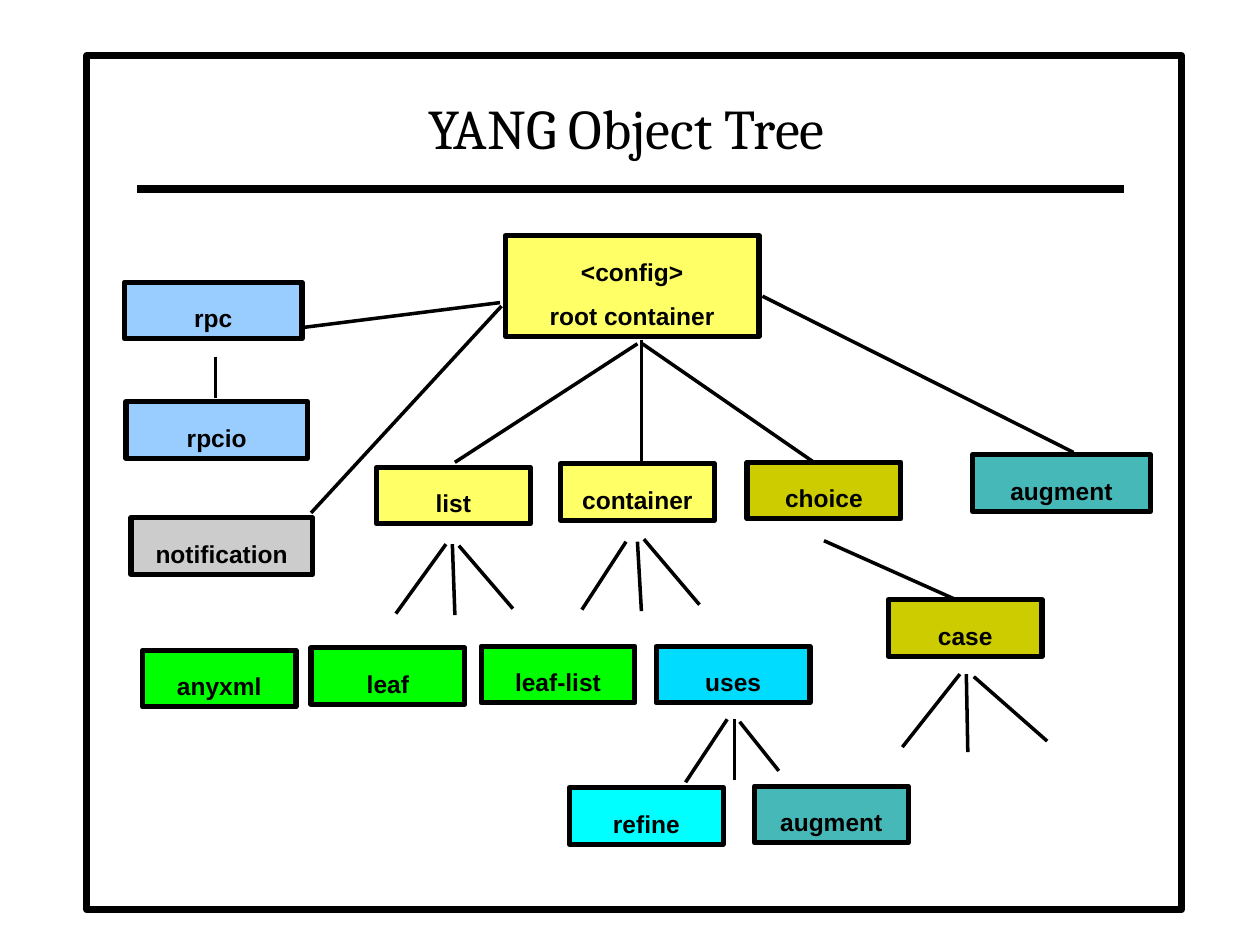
from lxml import etree
from pptx import Presentation
from pptx.dml.color import RGBColor
from pptx.enum.shapes import MSO_CONNECTOR as Connector, MSO_SHAPE as Preset
from pptx.enum.text import MSO_ANCHOR as Anchor, PP_ALIGN as Align
from pptx.oxml.ns import qn
from pptx.util import Cm, Pt

COLORS = {
    "black": "000000", "white": "FFFFFF", "yellow": "FFFF66", "olive": "CCCC00",
    "green": "00FF00", "blue": "99CCFF", "gray": "CCCCCC", "teal": "47B8B8",
    "sky": "00DCFF", "cyan": "00FFFF",
}
BLACK = RGBColor.from_string(COLORS["black"])
FRAME_FORMAT = {"word_wrap": True, "margin_left": Cm(0.25), "margin_right": Cm(0.25),
                "margin_top": Cm(0.13), "margin_bottom": Cm(0.13)}
TITLE_FONT = {"name": "Cambria", "size": Pt(32), "bold": False}
LABEL_FONT = {"name": "Arial", "size": Pt(14), "bold": True}
LABEL_PARAGRAPH = {"line_spacing": 1.5, "space_before": Pt(8.7)}


def write_text(shape, text, anchor, font_format, paragraph_format):
    frame = shape.text_frame
    frame.text = text
    paragraph = frame.paragraphs[0]
    font = paragraph.runs[0].font
    for target, values in (
        (frame, {**FRAME_FORMAT, "vertical_anchor": anchor}),
        (paragraph, {**paragraph_format, "alignment": Align.CENTER}),
    ):
        for name, value in values.items():
            setattr(target, name, value)
    for run in paragraph.runs:
        for name, value in font_format.items():
            setattr(run.font, name, value)
        run.font.color.rgb = BLACK


presentation = Presentation()
presentation.slide_width, presentation.slide_height = Cm(25.4), Cm(19.05)
slide = presentation.slides.add_slide(presentation.slide_layouts[6])

WIDTH, WIDE, WIDEST, HEIGHT = 3.1, 3.58, 3.66, 1.14
boxes = [
    ("", "white", 1.75, 1.12, 22.07, 17.22, 4),
    ("<config>\vroot container", "yellow", 10.19, 4.75, 5.11, 2.03, 3),
]
nodes = [
    ("list", "yellow", 7.59, 9.42, WIDTH),
    ("choice", "olive", 15.06, 9.32, WIDTH),
    ("container", "yellow", 11.3, 9.35, WIDTH),
    ("leaf", "green", 6.27, 13.06, WIDTH),
    ("case", "olive", 17.91, 12.09, WIDTH),
    ("leaf-list", "green", 9.7, 13.03, WIDTH),
    ("rpc", "blue", 2.51, 5.69, WIDE),
    ("rpcio", "blue", 2.54, 8.1, WIDEST),
    ("augment", "teal", 19.61, 9.17, WIDE),
    ("uses", "sky", 13.23, 13.03, WIDTH),
    ("refine", "cyan", 11.48, 15.88, WIDTH),
    ("augment", "teal", 15.21, 15.85, WIDTH),
    ("anyxml", "green", 2.87, 13.11, WIDTH),
    ("notification", "gray", 2.64, 10.44, WIDEST),
]
boxes += [(*node, HEIGHT, 3) for node in nodes]

for label, color, left, top, width, height, line_width in boxes:
    shape = slide.shapes.add_shape(Preset.RECTANGLE, Cm(left), Cm(top), Cm(width), Cm(height))
    shape.shadow.inherit = False
    shape.fill.solid()
    shape.fill.fore_color.rgb = RGBColor.from_string(COLORS[color])
    shape.line.color.rgb = BLACK
    shape.line.width = Pt(line_width)
    if label:
        write_text(shape, label, Anchor.TOP, LABEL_FONT, LABEL_PARAGRAPH)

title = slide.shapes.add_textbox(Cm(2.74), Cm(1.47), Cm(19.79), Cm(1.9))
write_text(title, "YANG Object Tree", Anchor.BOTTOM, TITLE_FONT, {})

title_rule = (2.77, 3.81, 22.66, 3.81)
branches = [
    (12.85, 6.93, 9.17, 9.32),
    (12.93, 6.86, 12.93, 9.32),
    (12.95, 6.93, 16.38, 9.3),
    (12.62, 10.92, 11.73, 12.29),
    (12.85, 10.92, 12.93, 12.32),
    (12.98, 10.87, 14.1, 12.19),
    (8.99, 10.97, 7.98, 12.37),
    (9.12, 10.97, 9.17, 12.4),
    (9.25, 11, 10.34, 12.27),
    (19.35, 13.59, 18.19, 15.06),
    (19.48, 13.59, 19.51, 15.16),
    (19.63, 13.64, 21.11, 14.94),
    (16.61, 10.9, 19.23, 12.07),
    (10.08, 6.1, 6.12, 6.6),
    (21.64, 9.12, 15.37, 5.97),
    (14.66, 14.5, 13.82, 15.77),
    (14.81, 14.5, 14.81, 15.72),
    (14.91, 14.55, 15.7, 15.54),
    (10.11, 6.17, 6.27, 10.34),
    (4.34, 7.19, 4.34, 8.03),
]
for points, line_width in [(title_rule, 4.5)] + [(branch, 0) for branch in branches]:
    connector = slide.shapes.add_connector(Connector.STRAIGHT, *[Cm(point) for point in points])
    connector.line.color.rgb = BLACK
    connector.line.width = Pt(line_width)
    etree.SubElement(connector._element.spPr, qn("a:effectLst"))

presentation.save("out.pptx")
